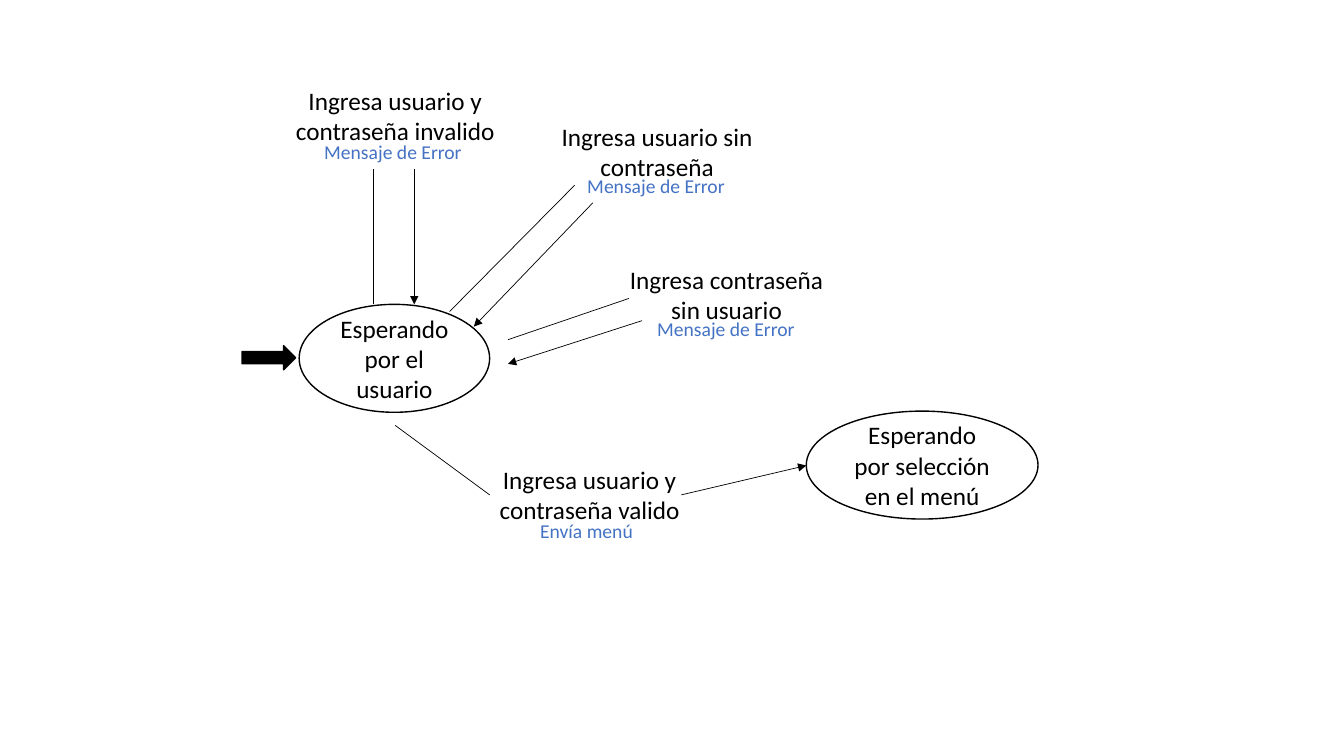
from lxml.etree import SubElement
from pptx import Presentation
from pptx.dml.color import RGBColor
from pptx.enum.shapes import MSO_CONNECTOR, MSO_SHAPE
from pptx.enum.text import MSO_ANCHOR, MSO_AUTO_SIZE, PP_ALIGN
from pptx.oxml.ns import qn
from pptx.util import Cm, Pt

BLACK = RGBColor(0x00, 0x00, 0x00)
WHITE = RGBColor(0xFF, 0xFF, 0xFF)
BLUE = RGBColor(0x44, 0x72, 0xC4)

STATE_H = 2.72
EVENT_W, EVENT_H = 5.84, 1.8
REPLY_H = 0.86

prs = Presentation()
prs.slide_width, prs.slide_height = Cm(33.87), Cm(19.05)
s = prs.slides.add_slide(prs.slide_layouts[6])


def add_text(sp, text, size, color, align):
    p = sp.text_frame.paragraphs[0]
    p.alignment = align
    r = p.add_run()
    r.text = text
    r.font.name, r.font.size = "Calibri", Pt(size)
    r.font.color.rgb = color


def add_outlined(kind, fill, x, y, w, h):
    """Add a preset shape with a thin black outline and no shadow."""
    sp = s.shapes.add_shape(kind, Cm(x), Cm(y), Cm(w), Cm(h))
    sp.shadow.inherit = False
    sp.fill.solid()
    sp.fill.fore_color.rgb = fill
    sp.line.color.rgb = BLACK
    sp.line.width = Pt(1)
    return sp


# Start marker and states
add_outlined(MSO_SHAPE.RIGHT_ARROW, BLACK, 6.1, 8.71, 1.35, 0.61)

states = [
    ("Esperando por el usuario", 7.54, 7.67, 4.8),
    ("Esperando por selección en el menú", 20.32, 10.36, EVENT_W),
]
for text, x, y, w in states:
    sp = add_outlined(MSO_SHAPE.OVAL, WHITE, x, y, w, STATE_H)
    sp.text_frame.word_wrap = True
    sp.text_frame.vertical_anchor = MSO_ANCHOR.MIDDLE
    add_text(sp, text, 18, BLACK, PP_ALIGN.CENTER)

# Transitions: event, its place, reply, its place and width,
# line leaving the state, arrow reaching the next state
transitions = [
    ("Ingresa usuario y contraseña invalido", (7.04, 2.03),
     "Mensaje de Error", (7.92, 3.4, 4.01),
     (9.42, 7.67, 9.42, 4.27), (10.44, 4.27, 10.44, 7.67)),
    ("Ingresa usuario sin contraseña", (13.64, 2.92),
     "Mensaje de Error", (14.55, 4.27, 4.01),
     (11.33, 7.85, 14.48, 4.67), (14.94, 5.11, 11.94, 8.23)),
    ("Ingresa contraseña sin usuario", (15.39, 6.53),
     "Mensaje de Error", (16.31, 7.85, 4.01),
     (12.8, 8.56, 15.85, 7.52), (16.18, 8.08, 12.8, 9.17)),
    ("Ingresa usuario y contraseña valido", (11.94, 11.58),
     "Envía menú", (13.36, 12.95, 3.0),
     (12.34, 12.47, 9.96, 10.72), (17.17, 12.47, 20.32, 11.73)),
]
for event, (x, y), reply, (reply_x, reply_y, reply_w), leaving, reaching in transitions:
    sp = s.shapes.add_textbox(Cm(x), Cm(y), Cm(EVENT_W), Cm(EVENT_H))
    sp.text_frame.word_wrap = True
    sp.text_frame.auto_size = MSO_AUTO_SIZE.SHAPE_TO_FIT_TEXT
    add_text(sp, event, 18, BLACK, PP_ALIGN.CENTER)

    sp = s.shapes.add_textbox(Cm(reply_x), Cm(reply_y), Cm(reply_w), Cm(REPLY_H))
    sp.text_frame.word_wrap = False
    sp.text_frame.auto_size = MSO_AUTO_SIZE.SHAPE_TO_FIT_TEXT
    add_text(sp, reply, 14, BLUE, PP_ALIGN.LEFT)

    for ends, has_arrow in ((leaving, False), (reaching, True)):
        line = s.shapes.add_connector(MSO_CONNECTOR.STRAIGHT, *map(Cm, ends))
        line.line.color.rgb = BLACK
        line.line.width = Pt(0.5)
        if has_arrow:
            SubElement(line.line._get_or_add_ln(), qn("a:tailEnd"), type="triangle")
        SubElement(line._element.spPr, qn("a:effectLst"))

prs.save("out.pptx")
